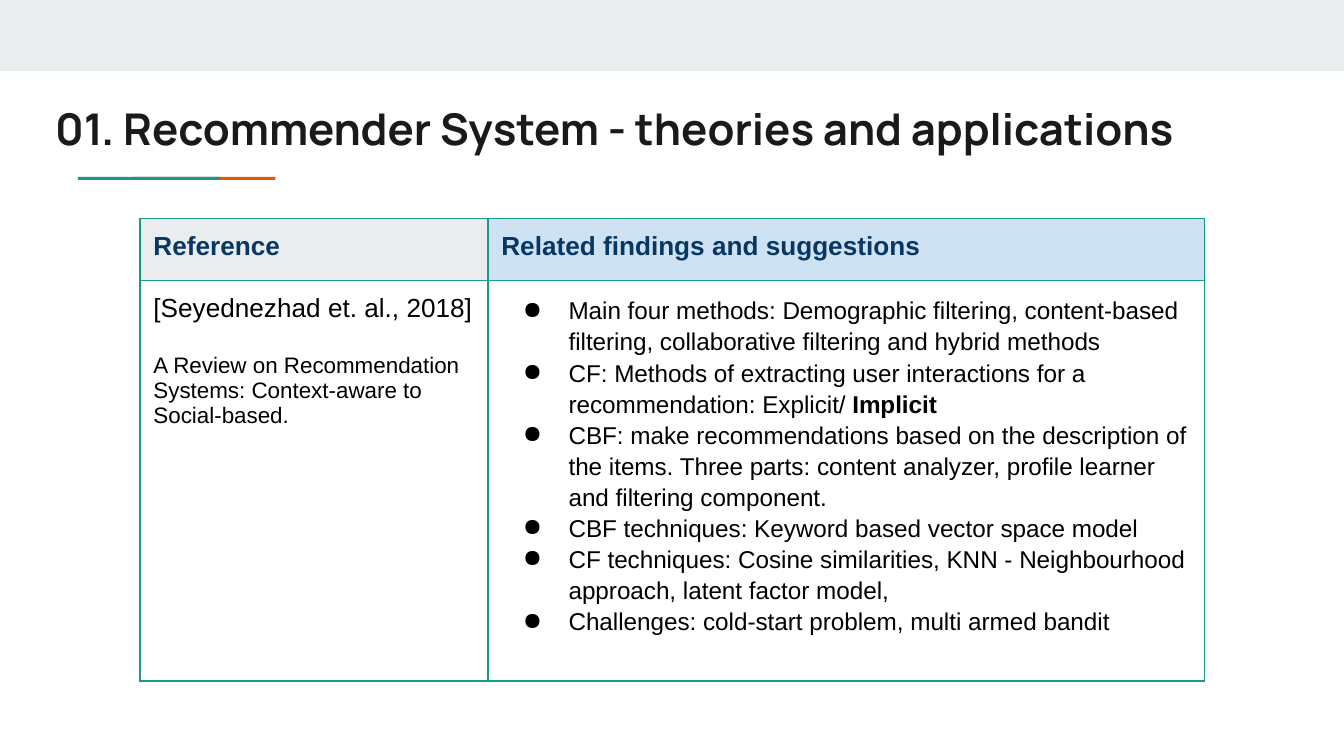
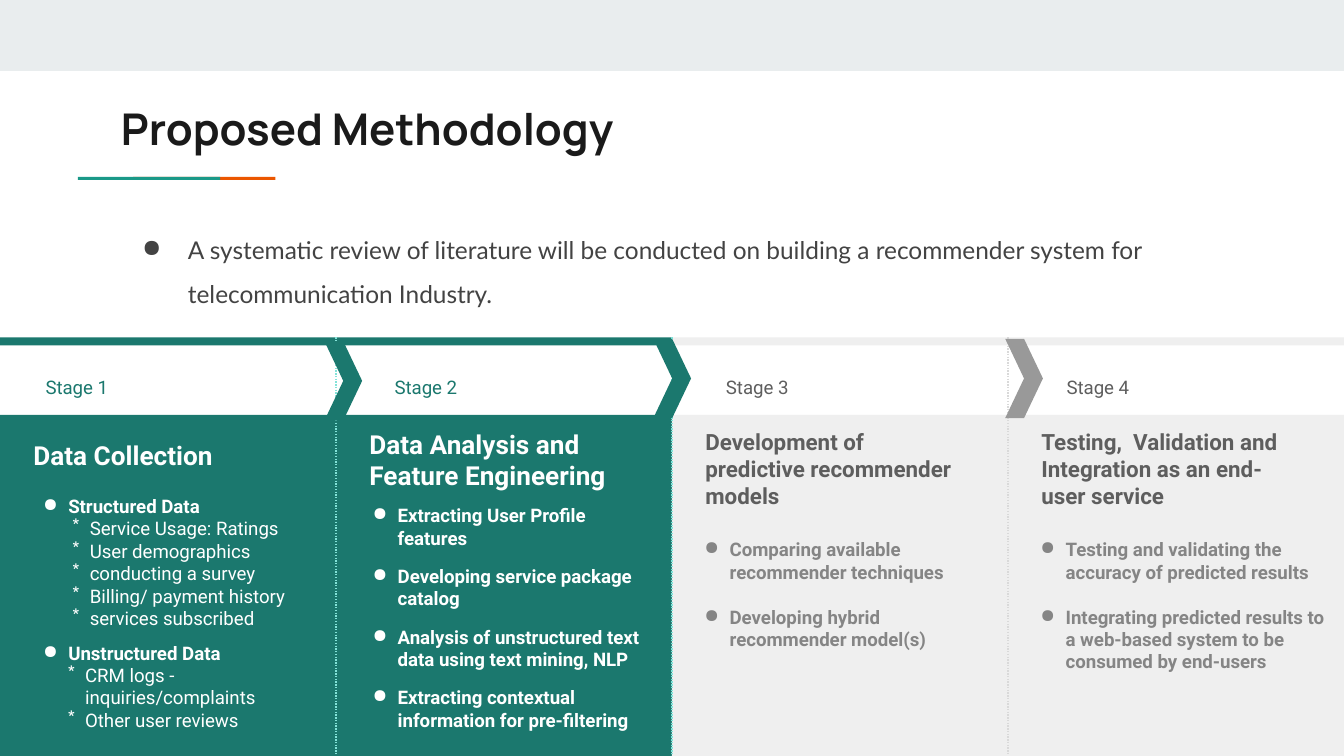
from pptx import Presentation
from pptx.dml.color import RGBColor
from pptx.enum.dml import MSO_LINE
from pptx.enum.shapes import MSO_CONNECTOR, MSO_SHAPE
from pptx.enum.text import MSO_ANCHOR, MSO_AUTO_SIZE, PP_ALIGN
from pptx.oxml.ns import qn
from pptx.util import Pt
from lxml.etree import SubElement, Element

WIDTH, HEIGHT, INSET = 720, 405, 7.2

HUES = {
    "band": "E9EDEE", "orange": "EB5600", "teal": "1A9988", "ink": "1A1A1A",
    "navy": "073763", "sky": "CFE2F3", "black": "000000", "text": "434343",
    "deep": "1B786E", "pale": "EFEFEF", "white": "FFFFFF", "slate": "5E5E5E",
    "gray": "858585", "arrow": "999999", "mint": "83E3D9", "dots": "D9D9D9",
}

FINDINGS = [
    ["Main four methods: Demographic filtering, content-based filtering, "
     "collaborative filtering and hybrid methods"],
    ["CF: Methods of extracting user interactions for a recommendation: Explicit/ ",
     ("Implicit", True)],
    ["CBF: make recommendations based on the description of the items. "
     "Three parts: content analyzer, profile learner and filtering component."],
    ["CBF techniques: Keyword based vector space model"],
    ["CF techniques: Cosine similarities, KNN - Neighbourhood approach, "
     "latent factor model,"],
    ["Challenges: cold-start problem, multi armed bandit"],
]

# Each list item is (text, level); level 1 and 2 are starred sub-items.
STAGES = [
    dict(name="Stage 1", shift=0, head="Data Collection", size=14, drop=6,
         done=True, box=(11.5, 268.6, 152.6, 119.5), gap=6.5, foot=0, items=[
             ("Structured Data", 0), ("Service Usage: Ratings", 1),
             ("User demographics", 1), ("conducting a survey", 1),
             ("Billing/ payment history", 1), ("services subscribed", 1),
             ("Unstructured Data", 0), ("CRM logs -\ninquiries/complaints", 2),
             ("Other user reviews", 2)]),
    dict(name="Stage 2", shift=7, head="Data Analysis and Feature Engineering",
         size=14, drop=0, done=True, box=(8, 273.6, 170, 114.5), gap=8.5, foot=0,
         items=[("Extracting User Profile features", 0),
                ("Developing service package catalog", 0),
                ("Analysis of unstructured text data using text mining, NLP", 0),
                ("Extracting contextual information for pre-filtering", 0)]),
    dict(name="Stage 3", shift=4.5, head="Development of predictive recommender models",
         size=12, drop=0, done=False, box=(5.8, 272.9, 174.2, 114.5), gap=12, foot=23.6,
         items=[("Comparing available recommender techniques", 0),
                ("Developing hybrid recommender model(s)", 0)]),
    dict(name="Stage 4", shift=7,
         head="Testing,  Validation and Integration as an end-\nuser service",
         size=12, drop=0, done=False, box=(5.8, 267.1, 174.2, 114.5), gap=12, foot=0,
         items=[("Testing and validating the accuracy of predicted results", 0),
                ("Integrating predicted results to a web-based system "
                 "to be consumed by end-users", 0)]),
]


def hue(name):
    return RGBColor.from_string(HUES[name])


def block(slide, kind, box, color):
    """Add a plain filled shape."""
    shape = slide.shapes.add_shape(kind, *map(Pt, box))
    shape.shadow.inherit = False
    shape.fill.solid()
    shape.fill.fore_color.rgb = hue(color)
    shape.line.fill.background()
    return shape


def setup(frame, anchor=MSO_ANCHOR.TOP, foot=0):
    """Give a text frame the shared insets and wrapping."""
    frame.word_wrap = True
    frame.auto_size = MSO_AUTO_SIZE.NONE
    frame.vertical_anchor = anchor
    frame.margin_left = frame.margin_right = frame.margin_top = Pt(INSET)
    frame.margin_bottom = Pt(INSET + foot)
    return frame


def label(slide, box, **kind):
    return setup(slide.shapes.add_textbox(*map(Pt, box)).text_frame, **kind)


def write(frame, parts, font, size, color, bold=False, space=None, before=0,
          after=0, mark=None, left=0, hang=0):
    """Add one paragraph; a part is a string or a (string, bold) pair."""
    para = frame.paragraphs[0]
    if para.runs:
        para = frame.add_paragraph()
    para.alignment = PP_ALIGN.LEFT
    para.space_before, para.space_after = Pt(before), Pt(after)
    if space:
        para.line_spacing = space
    if mark:
        bullet(para, mark, color, left, hang)
    for part in parts:
        text, heavy = part if isinstance(part, tuple) else (part, bold)
        for i, line in enumerate(text.split("\n")):
            if i:
                para.add_line_break()
            run = para.add_run()
            run.text = line
            run.font.name, run.font.size, run.font.bold = font, Pt(size), heavy
            run.font.color.rgb = hue(color)


def bullet(para, mark, color, left, hang):
    props = para._p.get_or_add_pPr()
    props.set("marL", str(Pt(left)))
    props.set("indent", str(-Pt(hang)))
    tint = SubElement(props, qn("a:buClr"))
    SubElement(tint, qn("a:srgbClr"), val=HUES[color])
    SubElement(props, qn("a:buChar"), char=mark)


def border(cell, color, width):
    props = cell._tc.get_or_add_tcPr()
    for i, side in enumerate(("lnL", "lnR", "lnT", "lnB")):
        line = Element(qn("a:" + side), w=str(Pt(width)))
        fill = SubElement(line, qn("a:solidFill"))
        SubElement(fill, qn("a:srgbClr"), val=HUES[color])
        props.insert(i, line)


def start(deck, title, left, width):
    """Add a slide with the top band, title and two-tone rule."""
    slide = deck.slides.add_slide(deck.slide_layouts[5])
    block(slide, MSO_SHAPE.RECTANGLE, (0, 0, WIDTH, 38), "band")
    for x, color in ((71.4, "orange"), (41.8, "teal")):
        block(slide, MSO_SHAPE.RECTANGLE, (x, 94.8, 76.2, 1.6), color)
    head = slide.shapes.title
    head.left, head.top, head.width, head.height = map(Pt, (left, 47.5, width, 42.5))
    write(setup(head.text_frame), [title], "Manrope", 23.4, "ink", bold=True)
    return slide


def review(slide, box):
    """Place the literature table."""
    x, y, wide, high = box
    grid = slide.shapes.add_table(2, 2, *map(Pt, box)).table
    grid.horz_banding = grid.first_row = False
    grid.columns[0].width, grid.columns[1].width = Pt(186.4), Pt(wide - 186.4)
    grid.rows[0].height, grid.rows[1].height = Pt(33.2), Pt(high - 33.2)
    for cell in grid.iter_cells():
        cell.margin_left = cell.margin_right = Pt(INSET)
        cell.margin_top = cell.margin_bottom = Pt(INSET)
        cell.fill.background()
        border(cell, "teal", 0.75)

    # Header row
    heads = (("Reference", "band"), ("Related findings and suggestions", "sky"))
    for i, (text, color) in enumerate(heads):
        cell = grid.cell(0, i)
        cell.fill.solid()
        cell.fill.fore_color.rgb = hue(color)
        write(cell.text_frame, [text], "Arial", 14, "navy", bold=True)

    # Source and its findings
    source = grid.cell(1, 0).text_frame
    write(source, ["[Seyednezhad et. al., 2018]"], "Arial", 14, "black")
    write(source, ["A Review on Recommendation Systems: Context-aware to Social-based."],
          "Arial", 12, "black", before=16)
    for parts in FINDINGS:
        write(grid.cell(1, 1).text_frame, parts, "Arial", 13, "black",
              space=1.15, mark="●", left=36, hang=24.5)


def panel(slide, stage, x, y, wide):
    """Place one stage: bars, name and heading."""
    done = stage["done"]
    fill = "deep" if done else "pale"
    for top, high in ((41.5, HEIGHT - y - 41.5), (0, 4.3)):
        block(slide, MSO_SHAPE.RECTANGLE, (x, y + top, wide, high), fill)
    name = label(slide, (x + 17.3 + stage["shift"], y + 11.5, 68.4, 20.2))
    write(name, [stage["name"]], "Roboto", 10, "deep" if done else "slate",
          space=1.15, after=16)
    head = label(slide, (x + 10.8, y + 41.5 + stage["drop"], 146.2, 62.6))
    write(head, [stage["head"]], "Roboto", stage["size"],
          "white" if done else "slate", bold=True)


def points(slide, stage, x):
    """Place the list of one stage."""
    left, *rest = stage["box"]
    frame = label(slide, (x + left, *rest), anchor=MSO_ANCHOR.MIDDLE, foot=stage["foot"])
    forms = [("●", 18, 13.5), ("*", 29.5, 9.3), ("*", 27, 9.3)]
    for i, (text, level) in enumerate(stage["items"]):
        mark, indent, hang = forms[level]
        write(frame, [text], "Roboto", 10, "white" if stage["done"] else "gray",
              bold=level == 0, before=stage["gap"] if i and level == 0 else 0,
              mark=mark, left=indent, hang=hang)


def divide(slide, x, y, color):
    line = slide.shapes.add_connector(MSO_CONNECTOR.STRAIGHT, Pt(x), Pt(y), Pt(x), Pt(404))
    line.line.color.rgb = hue(color)
    line.line.width = Pt(0.75)
    line.line.dash_style = MSO_LINE.ROUND_DOT
    SubElement(line._element.spPr, qn("a:effectLst"))


def stages(slide, y):
    """Place the four-stage process across the slide."""
    wide = WIDTH / len(STAGES)
    for i, stage in enumerate(STAGES):
        panel(slide, stage, i * wide, y, wide)
    for i, color in enumerate(("mint", "mint", "dots"), 1):
        divide(slide, i * wide, y, color)
    for x, drop, color in ((173.8, 2, "deep"), (350, 0.7, "deep"), (538.5, 0.7, "arrow")):
        block(slide, MSO_SHAPE.CHEVRON, (x, y + drop, 20.2, 42.5), color)
    for i, stage in enumerate(STAGES):
        points(slide, stage, i * wide)


def method(slide):
    """Place the summary and the process."""
    body = label(slide, (57.6, 110.9, 632.9, 69.8))
    write(body, ["A systematic review of literature will be conducted on building "
                 "a recommender system for telecommunication Industry."],
          "Lato", 13.1, "text", space=1.5, mark="●", left=36, hang=24.5)
    stages(slide, 180.8)


def main():
    deck = Presentation()
    deck.slide_width, deck.slide_height = Pt(WIDTH), Pt(HEIGHT)
    first = start(deck, "01. Recommender System - theories and applications", 22.3, 654.5)
    review(first, (75, 117, 570.2, 247.8))
    method(start(deck, "Proposed Methodology", 57.6, 605.5))
    deck.save("out.pptx")


if __name__ == "__main__":
    main()
